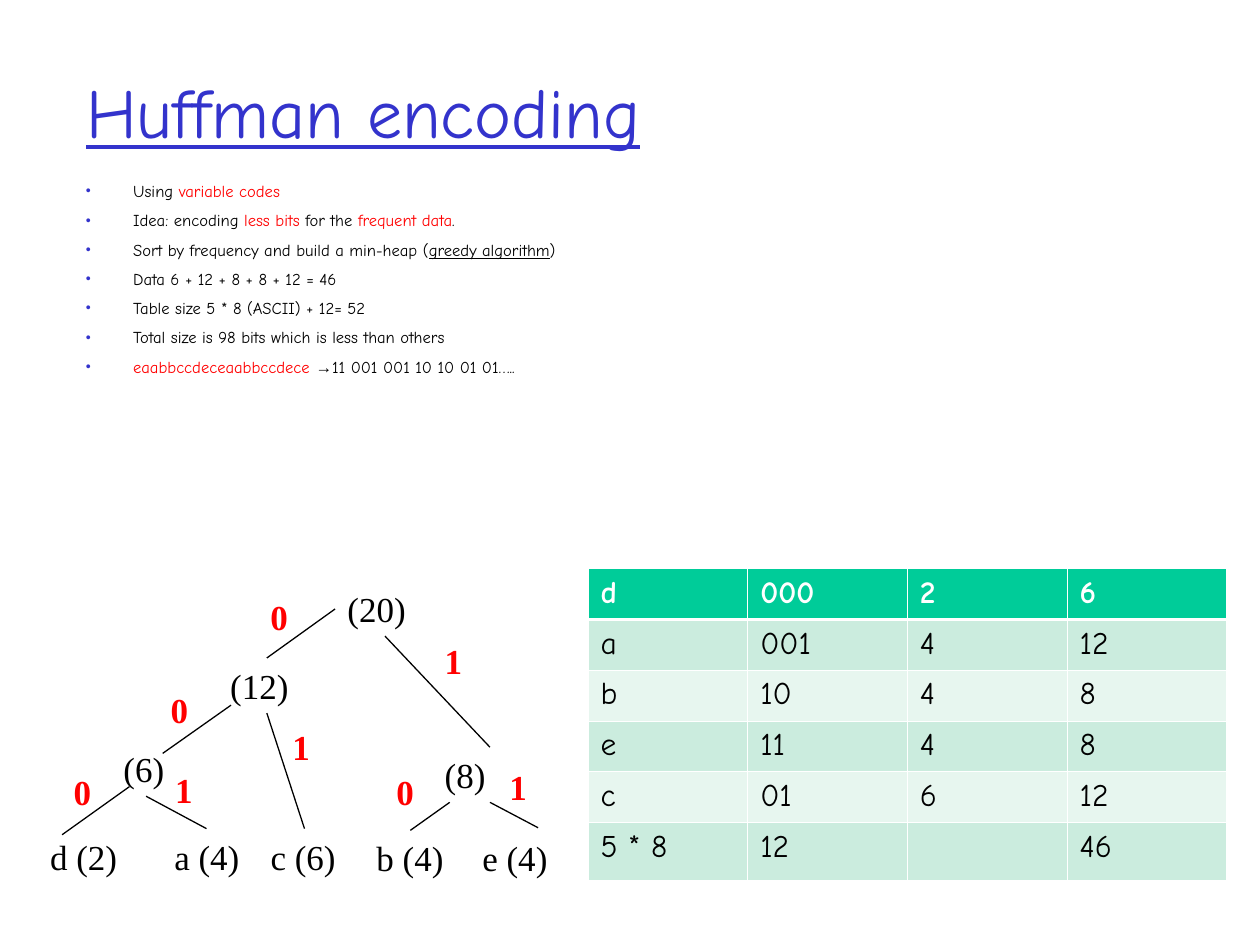
from lxml.etree import SubElement as Sub
from pptx import Presentation
from pptx.dml.color import RGBColor as RGB
from pptx.enum.shapes import MSO_CONNECTOR as Conn
from pptx.enum.text import MSO_ANCHOR as Anchor, MSO_AUTO_SIZE as Auto, PP_ALIGN as Align
from pptx.oxml.ns import qn
from pptx.util import Pt

BLUE = RGB(0x33, 0x33, 0xCC)
RED = RGB(0xFF, 0, 0)
BLACK = RGB(0, 0, 0)
WHITE = RGB(0xFF, 0xFF, 0xFF)
GREEN = RGB(0, 0xCC, 0x99)
MINT = RGB(0xCB, 0xEC, 0xDE)
PALE = RGB(0xE7, 0xF6, 0xEF)

# Each point is a list of runs: (text, changed font settings).
POINTS = [
    [("Using ", {}), ("variable codes", {"color": RED})],
    [("Idea: encoding ", {}), ("less bits ", {"color": RED}), ("for the ", {}),
     ("frequent data", {"color": RED}), (".", {})],
    [("Sort by frequency and build a min-heap (", {}),
     ("greedy algorithm", {"line": True}), (")", {})],
    [("Data 6 + 12 + 8 + 8 + 12 = 46", {})],
    [("Table size 5 * 8 (ASCII) + 12= 52", {})],
    [("Total size is 98 bits which is less than others", {})],
    [("eaabbccdeceaabbccdece ", {"color": RED}), ("→", {"face": "Arial"}),
     ("11 001 001 10 10 01 01…..", {})],
]

CODES = [
    ("d", "000", "2", "6"),
    ("a", "001", "4", "12"),
    ("b", "10", "4", "8"),
    ("e", "11", "4", "8"),
    ("c", "01", "6", "12"),
    ("5 * 8", "12", "", "46"),
]

# Text, left, top, width
NODES = [
    ("d (2)", 21.5, 474, 54), ("a (4)", 92.5, 474, 54),
    ("c (6)", 147.5, 474, 54), ("b (4)", 208, 474.5, 54),
    ("e (4)", 268.5, 474.5, 54), ("(6)", 63.5, 423.5, 41),
    ("(8)", 247, 427, 66), ("(12)", 124.5, 376, 56), ("(20)", 191.5, 332, 56),
]

# Start x, start y, end x, end y
EDGES = [
    (191.5, 348, 152.5, 376), (132, 403, 93, 430.5),
    (74, 449.5, 35.5, 477), (118, 473.5, 83.5, 455),
    (174, 473.5, 152.5, 407.5), (280, 427, 220, 363.5),
    (234.5, 474.5, 257, 458.5), (280, 458.5, 307.5, 473),
]

# Bit, left, top
BITS = [
    ("0", 147.5, 336.5), ("0", 90.5, 390), ("0", 35, 437), ("0", 219.5, 437),
    ("1", 247, 362), ("1", 284, 434), ("1", 160, 411), ("1", 93, 435.5),
]


class Deck:
    """Holds the style and the current slide; lengths are in points."""

    main, tree = "Comic Neue", "Times New Roman"

    def __init__(self):
        self.prs = Presentation()
        self.prs.slide_width, self.prs.slide_height = Pt(720), Pt(540)
        self.slide = self.prs.slides.add_slide(self.prs.slide_layouts[5])

    def font(self, font, size=None, face=None, color=None, bold=None, line=None):
        if size:
            font.size = Pt(size)
        if face:
            font.name = face
        if color is not None:
            font.color.rgb = color
        font.bold, font.underline = bold, line

    def title(self, text, x, y, w, h):
        box = self.slide.shapes.title
        box.left, box.top, box.width, box.height = map(Pt, (x, y, w, h))
        frame = box.text_frame
        frame.text = text
        frame.auto_size = Auto.NONE
        frame.vertical_anchor = Anchor.MIDDLE
        para = frame.paragraphs[0]
        para.alignment = Align.LEFT
        self.font(para.font, 40, self.main, BLUE, line=True)

    def frame(self, x, y, w, h):
        box = self.slide.shapes.add_textbox(*map(Pt, (x, y, w, h)))
        box.text_frame.word_wrap = True
        return box.text_frame

    def bullet(self, para):
        props = para._p.get_or_add_pPr()
        props.set("marL", str(Pt(27)))
        props.set("indent", str(Pt(-27)))
        tint = Sub(props, qn("a:buClr"))
        Sub(tint, qn("a:srgbClr"), val=str(BLUE))
        Sub(props, qn("a:buSzPct"), val="85000")
        Sub(props, qn("a:buFont"), typeface="Arial")
        Sub(props, qn("a:buChar"), char="•")

    def points(self, rows, x, y, w, h):
        frame = self.frame(x, y, w, h)
        for i, runs in enumerate(rows):
            para = frame.add_paragraph() if i else frame.paragraphs[0]
            self.bullet(para)
            if i:
                para.space_before = Pt(5.3)
            self.font(para.font, 9.5, self.main, BLACK)
            for text, style in runs:
                run = para.add_run()
                run.text = text
                self.font(run.font, **style)

    def label(self, text, x, y, w, color=BLACK, bold=False):
        frame = self.frame(x, y, w, 31.5)
        frame.text = text
        self.font(frame.paragraphs[0].font, 20, self.tree, color, bold)

    def edge(self, *ends):
        line = self.slide.shapes.add_connector(Conn.STRAIGHT, *map(Pt, ends))
        line.line.color.rgb = BLACK
        line.line.width = Pt(0.75)
        Sub(line._element.spPr, qn("a:effectLst"))

    def border(self, cell, top, bottom):
        props = cell._tc.get_or_add_tcPr()
        for side, width in (("L", 0.45), ("R", 0.45), ("T", top), ("B", bottom)):
            line = Sub(props, qn("a:ln" + side), w=str(Pt(width)))
            fill = Sub(line, qn("a:solidFill"))
            Sub(fill, qn("a:srgbClr"), val=str(WHITE))

    def table(self, rows, x, y, w, heights):
        size = len(rows), len(rows[0])
        box = self.slide.shapes.add_table(*size, *map(Pt, (x, y, w, sum(heights))))
        grid = box.table
        for i, (row, high) in enumerate(zip(rows, heights)):
            grid.rows[i].height = Pt(high)
            head = i == 0
            back = GREEN if head else MINT if i % 2 else PALE
            for j, text in enumerate(row):
                cell = grid.cell(i, j)
                self.border(cell, 1.47 if i == 1 else 0.45, 1.47 if head else 0.45)
                cell.fill.solid()
                cell.fill.fore_color.rgb = back
                cell.text = text
                self.font(cell.text_frame.paragraphs[0].font, 18, self.main,
                          WHITE if head else BLACK, head)


def main():
    deck = Deck()
    deck.title("Huffman encoding", 42, 18, 612, 90)
    deck.points(POINTS, 42, 100, 612, 117)
    deck.table(CODES, 336, 325, 365, [29] * 5 + [33])
    for node in NODES:
        deck.label(*node)
    for ends in EDGES:
        deck.edge(*ends)
    for text, x, y in BITS:
        deck.label(text, x, y, 41, RED, True)
    deck.prs.save("out.pptx")


if __name__ == "__main__":
    main()
